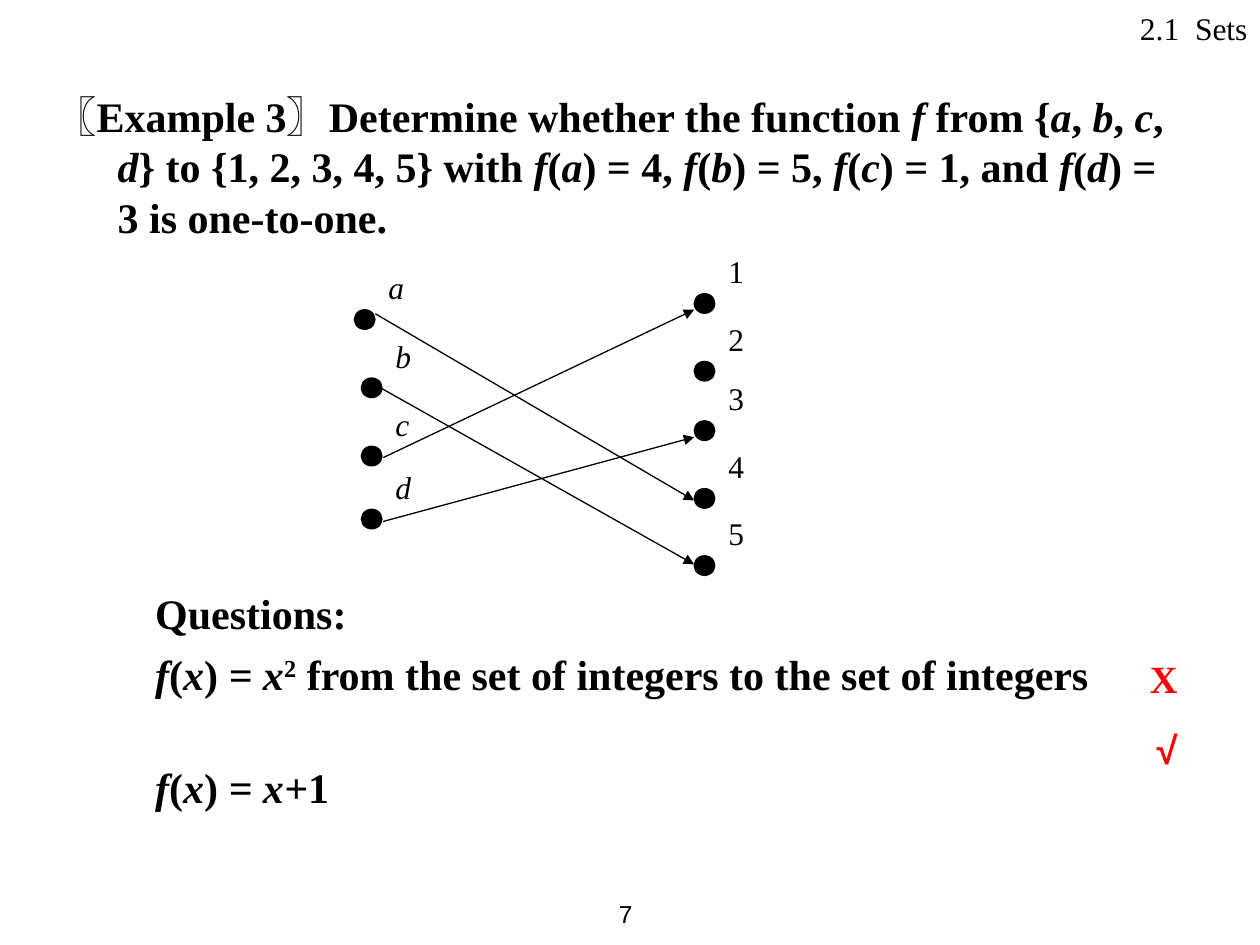
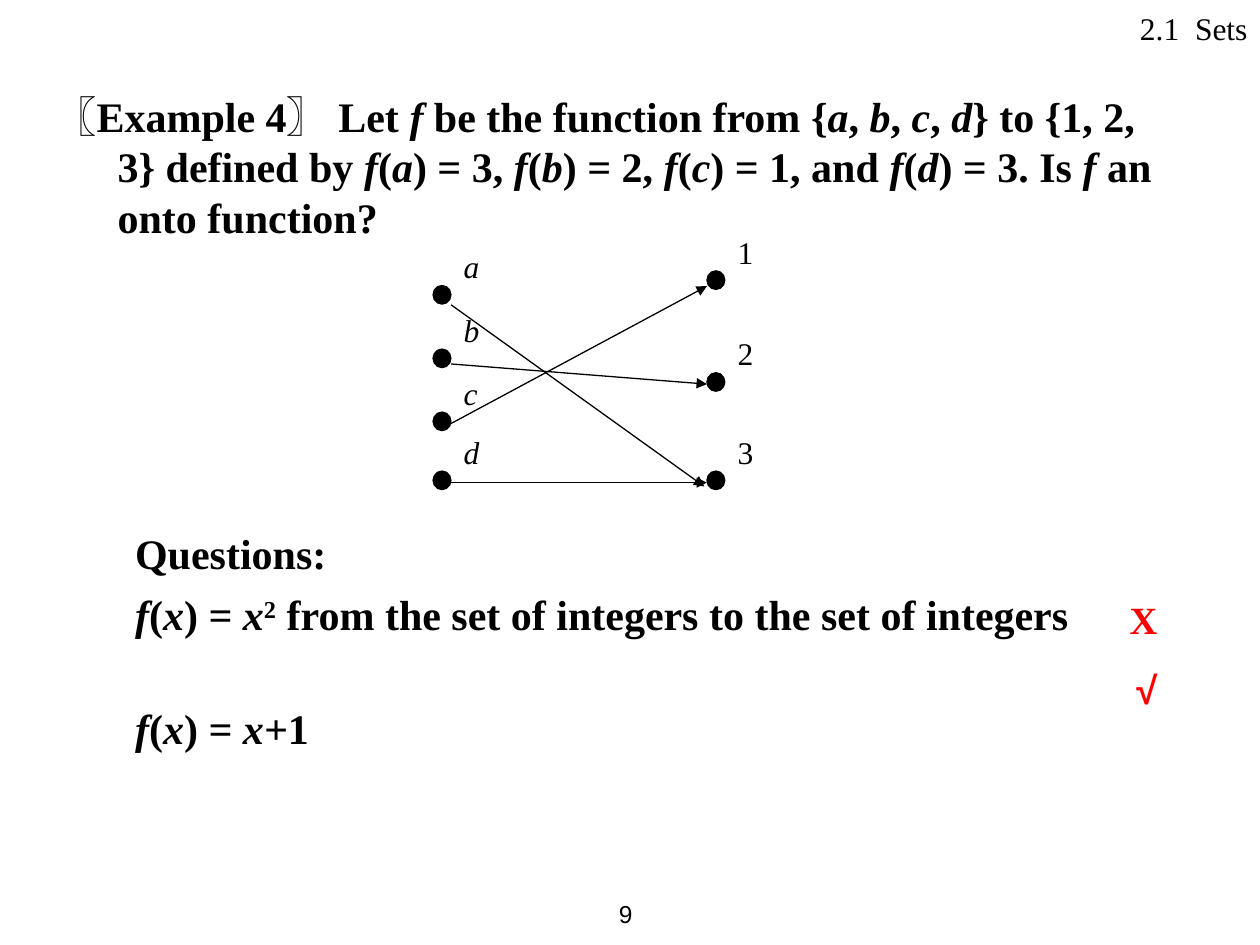
from lxml import etree
from pptx import Presentation
from pptx.dml.color import RGBColor
from pptx.enum import shapes, text
from pptx.oxml import ns
from pptx.util import Pt

SERIF, SANS = "Times New Roman", "Arial"
BLACK, RED = "000000", "FF0000"
LEFT, RIGHT = text.PP_ALIGN.LEFT, text.PP_ALIGN.RIGHT


def color(value):
    return RGBColor.from_string(value)


def place(shape, left, top, width, height):
    shape.left, shape.top = Pt(left), Pt(top)
    shape.width, shape.height = Pt(width), Pt(height)


def add_runs(paragraph, markup):
    """*...* is italic, ^...^ is superscript."""
    for i, piece in enumerate(markup.split("*")):
        for j, part in enumerate(piece.split("^")):
            if part:
                run = paragraph.add_run()
                run.text = part
                if i % 2:
                    run.font.italic = True
                if j % 2:
                    run._r.get_or_add_rPr().set("baseline", "30000")


class Deck:
    def __init__(self):
        self.presentation = Presentation()
        self.presentation.slide_width = Pt(720)
        self.presentation.slide_height = Pt(540)
        self.slide = None

    def new_slide(self, number):
        layout = self.presentation.slide_layouts[1]
        self.slide = self.presentation.slides.add_slide(layout)
        # Section header and page number
        self.label(self.slide.shapes, "2.1  Sets", 432, 1.5, 288, 29, align=RIGHT)
        page = self.label(self.slide.shapes, number, 320.5, 504, 48, 36,
                          size=14, name=SANS, align=RIGHT)
        page.word_wrap = False
        page.vertical_anchor = text.MSO_ANCHOR.MIDDLE

    def style(self, paragraph, size=18, name=SERIF, fill=BLACK, bold=False,
              align=LEFT, before=0):
        paragraph.alignment = align
        paragraph.space_before = Pt(before)
        font = paragraph.font
        font.size, font.name, font.bold = Pt(size), name, bold
        font.color.rgb = color(fill)

    def indent(self, paragraph, margin, first):
        properties = paragraph._p.get_or_add_pPr()
        properties.set("marL", str(Pt(margin)))
        properties.set("indent", str(Pt(first)))
        etree.SubElement(properties, ns.qn("a:buNone"))

    def label(self, parent, markup, left, top, width, height, **style):
        frame = parent.add_textbox(Pt(left), Pt(top), Pt(width), Pt(height)).text_frame
        frame.word_wrap = True
        add_runs(frame.paragraphs[0], markup)
        self.style(frame.paragraphs[0], **style)
        return frame

    def statement(self, markup):
        title = self.slide.shapes.title
        place(title, 24, 48, 654, 94)
        frame = title.text_frame
        frame.auto_size = text.MSO_AUTO_SIZE.NONE
        frame.vertical_anchor = text.MSO_ANCHOR.TOP
        paragraph = frame.paragraphs[0]
        self.indent(paragraph, 36, -36)
        bracket = paragraph.add_run()
        bracket.text, bracket.font.name = "〖", SANS
        add_runs(paragraph, markup)
        self.style(paragraph, size=24, bold=True)
        paragraph.line_spacing = Pt(28.8)

    def questions(self, left, top):
        body = self.slide.placeholders[1]
        place(body, left, top, 596, 135)
        frame = body.text_frame
        frame.auto_size = text.MSO_AUTO_SIZE.NONE
        lines = [("Questions:", 0),
                 ("*f*(*x*)* = x*^2^ from the set of integers to the set of integers", 6),
                 ("*f*(*x*)* = x+*1", 36)]
        for i, (markup, before) in enumerate(lines):
            paragraph = frame.add_paragraph() if i else frame.paragraphs[0]
            paragraph.level = 1
            self.indent(paragraph, 58.5, -22.5)
            add_runs(paragraph, markup)
            self.style(paragraph, size=24, bold=True, before=before)
        # Answers beside the questions
        answers = self.label(self.slide.shapes, "X", left + 584.5, top + 39, 50, 74,
                             size=22, fill=RED, bold=True, align=RIGHT)
        check = answers.add_paragraph()
        add_runs(check, "√")
        self.style(check, size=22, name=SANS, fill=RED, bold=True, align=RIGHT,
                   before=13.8)

    def mapping(self, dots, arrows, dot_size, label_offset, label_width):
        group = self.slide.shapes.add_group_shape().shapes
        for name, left, top in dots:
            self.dot(group, left, top, *dot_size)
            self.label(group, name, left + label_offset[0], top + label_offset[1],
                       label_width, 29)
        for start, end in arrows:
            self.arrow(group, start, end)

    def dot(self, parent, left, top, width, height):
        dot = parent.add_shape(shapes.MSO_SHAPE.OVAL, Pt(left), Pt(top),
                               Pt(width), Pt(height))
        dot.shadow.inherit = False
        dot.fill.solid()
        dot.fill.fore_color.rgb = color(BLACK)
        dot.line.color.rgb = color(BLACK)
        dot.line.width = Pt(0.75)

    def arrow(self, parent, start, end):
        arrow = parent.add_connector(shapes.MSO_CONNECTOR.STRAIGHT,
                                     *(Pt(value) for value in start + end))
        arrow.line.color.rgb = color(BLACK)
        arrow.line.width = Pt(0.75)
        etree.SubElement(arrow.line._get_or_add_ln(), ns.qn("a:tailEnd"), type="triangle")
        etree.SubElement(arrow._element.spPr, ns.qn("a:effectLst"))


def main():
    deck = Deck()

    # One-to-one example
    deck.new_slide("7")
    deck.statement("Example 3〗Determine whether the function *f* from {*a*, *b*, *c*, *d*} "
                   "to {1, 2, 3, 4, 5} with *f*(*a*) = 4, *f*(*b*) = 5, *f*(*c*) = 1, "
                   "and *f*(*d*) = 3 is one-to-one.")
    domain = [("*a*", 202.5, 177), ("*b*", 206.5, 216), ("*c*", 206.5, 255),
              ("*d*", 206.5, 291)]
    codomain = [(str(i), 396.7, top)
                for i, top in enumerate((167.8, 206.5, 240.5, 279.2, 317.6), 1)]
    arrows = [((214.5, 179.3), (396.7, 286)), ((211, 218), (396.7, 322.5)),
              ((219, 261.5), (396.7, 177)), ((219, 298), (396.7, 249.8))]
    deck.mapping(domain + codomain, arrows, (11.8, 11.2), (12.4, -27.2), 63)
    deck.questions(45.5, 332)

    # Onto example
    deck.new_slide("9")
    deck.statement("Example 4〗 Let *f* be the function from {*a*, *b*, *c*, *d*} "
                   "to {1, 2, 3} defined by *f*(*a*) = 3, *f*(*b*) = 2, *f*(*c*) = 1, "
                   "and *f*(*d*) = 3. Is *f* an onto function?")
    domain = [(f"*{name}*", 247.5, top)
              for name, top in zip("abcd", (163.2, 199.5, 235.5, 269.2))]
    codomain = [(str(i), 404, top) for i, top in enumerate((154.8, 213, 269.2), 1)]
    arrows = [((257.8, 174.2), (402.5, 278)), ((257.8, 208), (404, 219.5)),
              ((257.8, 242), (404, 163.5)), ((257.8, 275.8), (404, 275.8))]
    deck.mapping(domain + codomain, arrows, (10.2, 10.6), (10.4, -25.4), 52)
    deck.questions(34, 298)

    deck.presentation.save("out.pptx")


if __name__ == "__main__":
    main()
